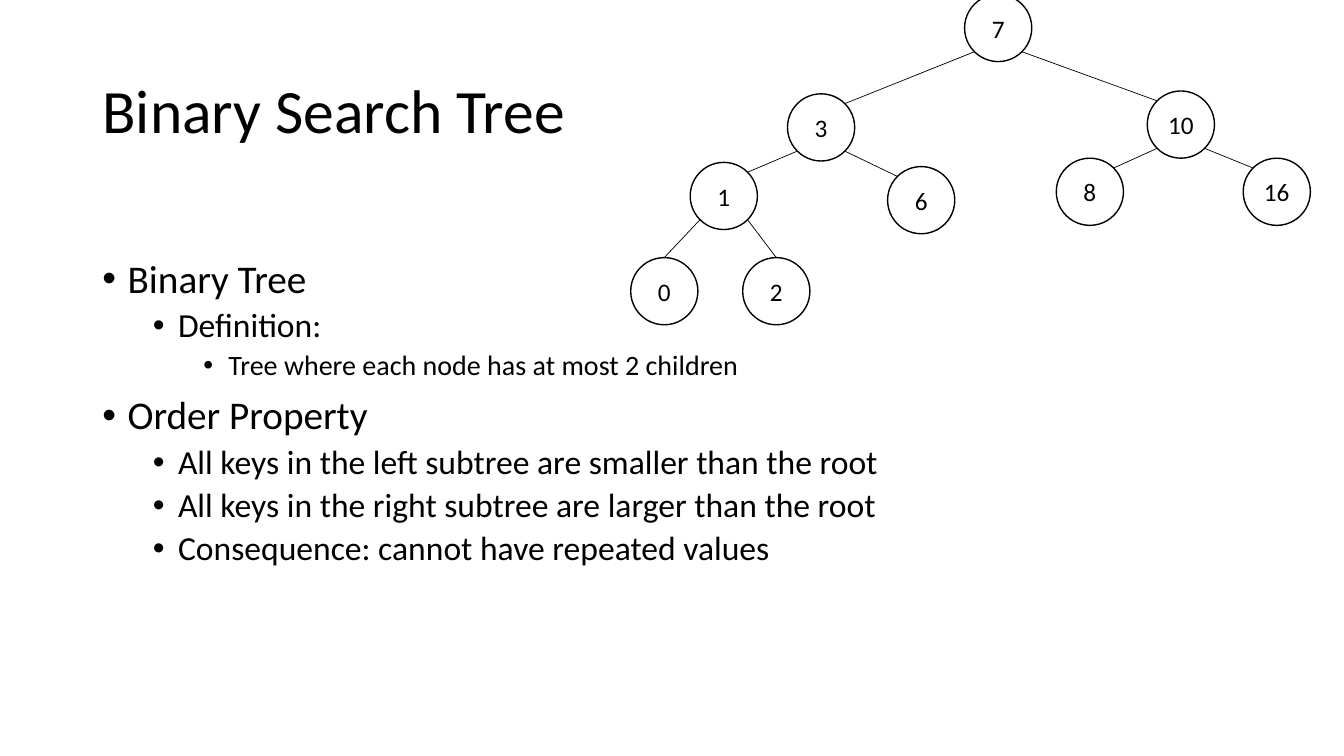
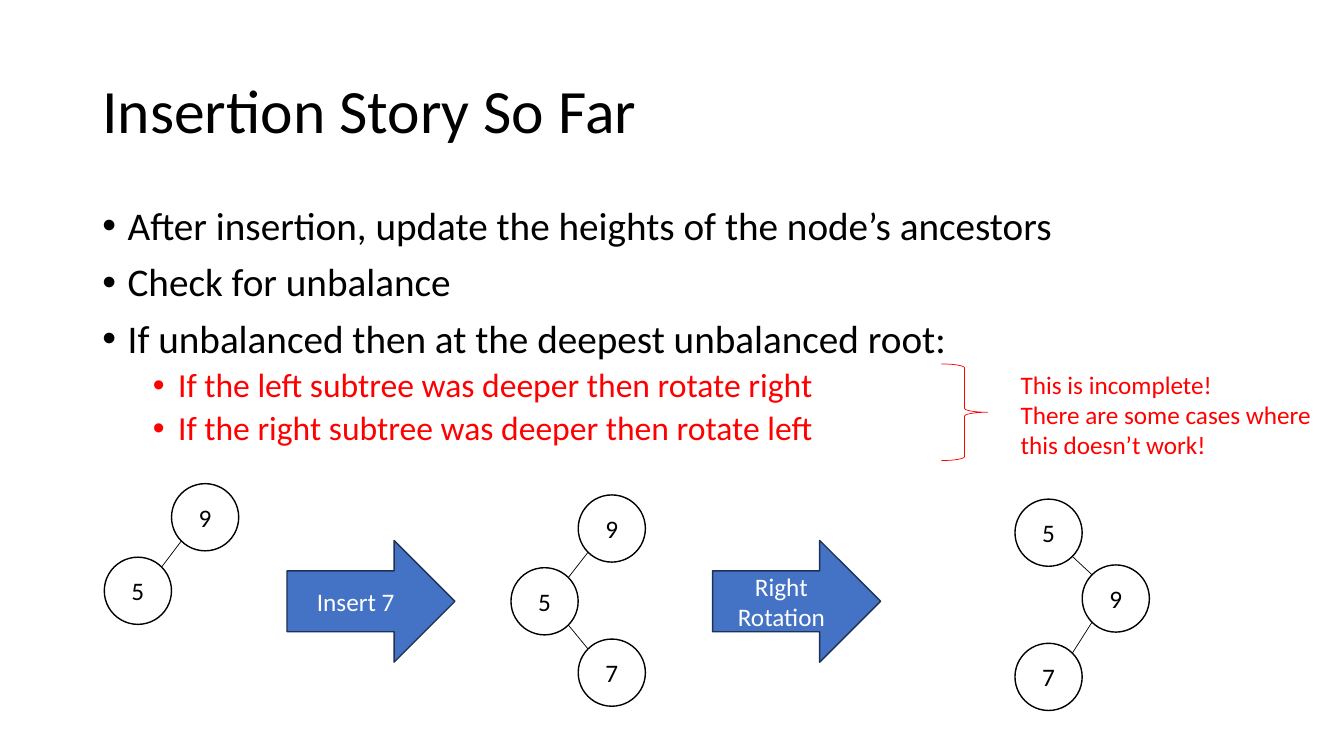
from math import sqrt

from lxml.etree import SubElement
from pptx import Presentation
from pptx.dml.color import RGBColor
from pptx.enum.shapes import MSO_CONNECTOR, MSO_SHAPE
from pptx.enum.text import MSO_ANCHOR, MSO_AUTO_SIZE, PP_ALIGN
from pptx.oxml.ns import qn
from pptx.util import Pt

BLACK = RGBColor(0, 0, 0)
WHITE = RGBColor(255, 255, 255)
RED = RGBColor(255, 0, 0)
BLUE = RGBColor(0x44, 0x72, 0xC4)
NAVY = RGBColor(0x1E, 0x32, 0x56)
FONT = "Calibri"
NODE = 48
LEVEL_SIZES = (28, 24, 20)


def write(frame, text, *, size=18, color=BLACK, align=PP_ALIGN.LEFT,
          spacing=1.0, before=0, level=None):
    """Append a formatted paragraph, bulleted when a level is given."""
    is_first = not frame.paragraphs[0].runs
    paragraph = frame.paragraphs[0] if is_first else frame.add_paragraph()
    if level is not None:
        paragraph.level = level
        properties = paragraph._p.get_or_add_pPr()
        properties.set("marL", str(Pt(18 + 36 * level)))
        properties.set("indent", str(-Pt(18)))
        SubElement(properties, qn("a:buFont")).set("typeface", "Arial")
        SubElement(properties, qn("a:buChar")).set("char", "•")
    paragraph.alignment = align
    paragraph.line_spacing = spacing
    paragraph.space_before = Pt(0 if is_first else before)
    run = paragraph.add_run()
    run.text = text
    run.font.name = FONT
    run.font.size = Pt(size)
    run.font.color.rgb = color


class Deck:
    """Holds the presentation style and the slide being built."""

    def __init__(self):
        """Start an empty widescreen presentation."""
        self.presentation = Presentation()
        self.presentation.slide_width = Pt(960)
        self.presentation.slide_height = Pt(540)
        self.slide = None

    def start_slide(self, heading):
        """Add a slide with its title."""
        self.slide = self.presentation.slides.add_slide(self.presentation.slide_layouts[1])
        frame = self.place(self.slide.shapes.title, 66, 29, 828, 104)
        frame.vertical_anchor = MSO_ANCHOR.MIDDLE
        write(frame, heading, size=44, spacing=0.9)

    def place(self, box, left, top, width, height):
        """Move a text container and return its wrapped text frame."""
        box.left, box.top, box.width, box.height = map(Pt, (left, top, width, height))
        box.text_frame.word_wrap = True
        box.text_frame.auto_size = MSO_AUTO_SIZE.NONE
        return box.text_frame

    def bullets(self, top, points):
        """Fill the body with (level, text, colour) points."""
        frame = self.place(self.slide.placeholders[1], 66, top, 828, 343)
        frame.vertical_anchor = MSO_ANCHOR.TOP
        for level, text, color in points:
            write(frame, text, size=LEVEL_SIZES[level], color=color, spacing=0.9,
                  before=5 if level else 10, level=level)

    def shape(self, kind, left, top, width, height, *, fill=None, line=BLACK, weight=1):
        """Add a flat outlined preset shape."""
        shape = self.slide.shapes.add_shape(kind, *map(Pt, (left, top, width, height)))
        shape.shadow.inherit = False
        if fill is None:
            shape.fill.background()
        else:
            shape.fill.solid()
            shape.fill.fore_color.rgb = fill
        shape.line.color.rgb = line
        shape.line.width = Pt(weight)
        return shape

    def node(self, key, left, top):
        """Add a circular tree node with its key."""
        circle = self.shape(MSO_SHAPE.OVAL, left, top, NODE, NODE, fill=WHITE)
        frame = circle.text_frame
        frame.margin_left = frame.margin_right = 0
        frame.vertical_anchor = MSO_ANCHOR.MIDDLE
        write(frame, key, align=PP_ALIGN.CENTER)
        return circle

    def edge(self, start, end):
        """Add a thin line between two points and return it."""
        line = self.slide.shapes.add_connector(
            MSO_CONNECTOR.STRAIGHT, *map(Pt, (*start, *end)))
        line.line.color.rgb = BLACK
        line.line.width = Pt(0.5)
        SubElement(line._element.spPr, qn("a:effectLst"))
        return line

    def tree(self, positions, children, top_joined=()):
        """Draw nodes and join each parent to its children on their diagonals."""
        circles = {key: self.node(key, *spot) for key, spot in positions.items()}
        half = NODE / 2
        reach = half / sqrt(2)
        for parent, offspring in children.items():
            parent_x, parent_y = (value + half for value in positions[parent])
            for child in offspring:
                child_x, child_y = (value + half for value in positions[child])
                side = reach if child_x > parent_x else -reach
                line = self.edge((parent_x + side, parent_y + reach),
                                 (child_x - side, child_y - reach))
                if child in top_joined:
                    line.end_connect(circles[child], 0)

    def step_arrow(self, left, label):
        """Add a block arrow naming a tree operation."""
        arrow = self.shape(MSO_SHAPE.RIGHT_ARROW, left, 386, 120, 87, fill=BLUE, line=NAVY)
        arrow.text_frame.word_wrap = True
        arrow.text_frame.vertical_anchor = MSO_ANCHOR.MIDDLE
        write(arrow.text_frame, label, color=WHITE, align=PP_ALIGN.CENTER)

    def remark(self, left, top, width, height, lines):
        """Add a red remark beside the content."""
        box = self.slide.shapes.add_textbox(0, 0, 0, 0)
        frame = self.place(box, left, top, width, height)
        for text in lines:
            write(frame, text, color=RED)


def search_tree_slide(deck):
    """Build the definition of a binary search tree."""
    deck.start_slide("Binary Search Tree")
    deck.bullets(181.5, [
        (0, "Binary Tree", BLACK),
        (1, "Definition:", BLACK),
        (2, "Tree where each node has at most 2 children", BLACK),
        (0, "Order Property", BLACK),
        (1, "All keys in the left subtree are smaller than the root", BLACK),
        (1, "All keys in the right subtree are larger than the root", BLACK),
        (1, "Consequence: cannot have repeated values", BLACK),
    ])
    deck.tree(
        {"7": (689, -4), "3": (562.5, 67), "10": (819.5, 65), "1": (493, 116),
         "6": (634, 119), "8": (754.5, 113), "16": (888, 113),
         "0": (450.5, 184), "2": (530.5, 184)},
        {"7": ("3", "10"), "3": ("1", "6"), "1": ("0", "2"), "10": ("8", "16")},
        top_joined=("0", "2"))


def insertion_slide(deck):
    """Build the summary of insertion and rotation."""
    deck.start_slide("Insertion Story So Far")
    deck.bullets(144, [
        (0, "After insertion, update the heights of the node’s ancestors", BLACK),
        (0, "Check for unbalance", BLACK),
        (0, "If unbalanced then at the deepest unbalanced root:", BLACK),
        (1, "If the left subtree was deeper then rotate right", RED),
        (1, "If the right subtree was deeper then rotate left", RED),
    ])
    deck.remark(722, 260, 222, 73, [
        "This is incomplete!", "There are some cases where this doesn’t work!"])
    deck.shape(MSO_SHAPE.RIGHT_BRACE, 672.5, 260, 33, 69, line=RED, weight=0.5)
    deck.tree({"9": (122.5, 345.5), "5": (74.5, 398)}, {"9": ("5",)})
    deck.step_arrow(205, "Insert 7")
    deck.tree({"9": (413, 353.5), "5": (365, 405.5), "7": (413, 456.5)},
              {"9": ("5",), "5": ("7",)})
    deck.step_arrow(509, "Right Rotation")
    deck.tree({"5": (725, 356.5), "9": (773, 403.5), "7": (725, 459.5)},
              {"5": ("9",), "9": ("7",)})


def main():
    """Build and save both slides."""
    deck = Deck()
    search_tree_slide(deck)
    insertion_slide(deck)
    deck.presentation.save("out.pptx")


if __name__ == "__main__":
    main()
